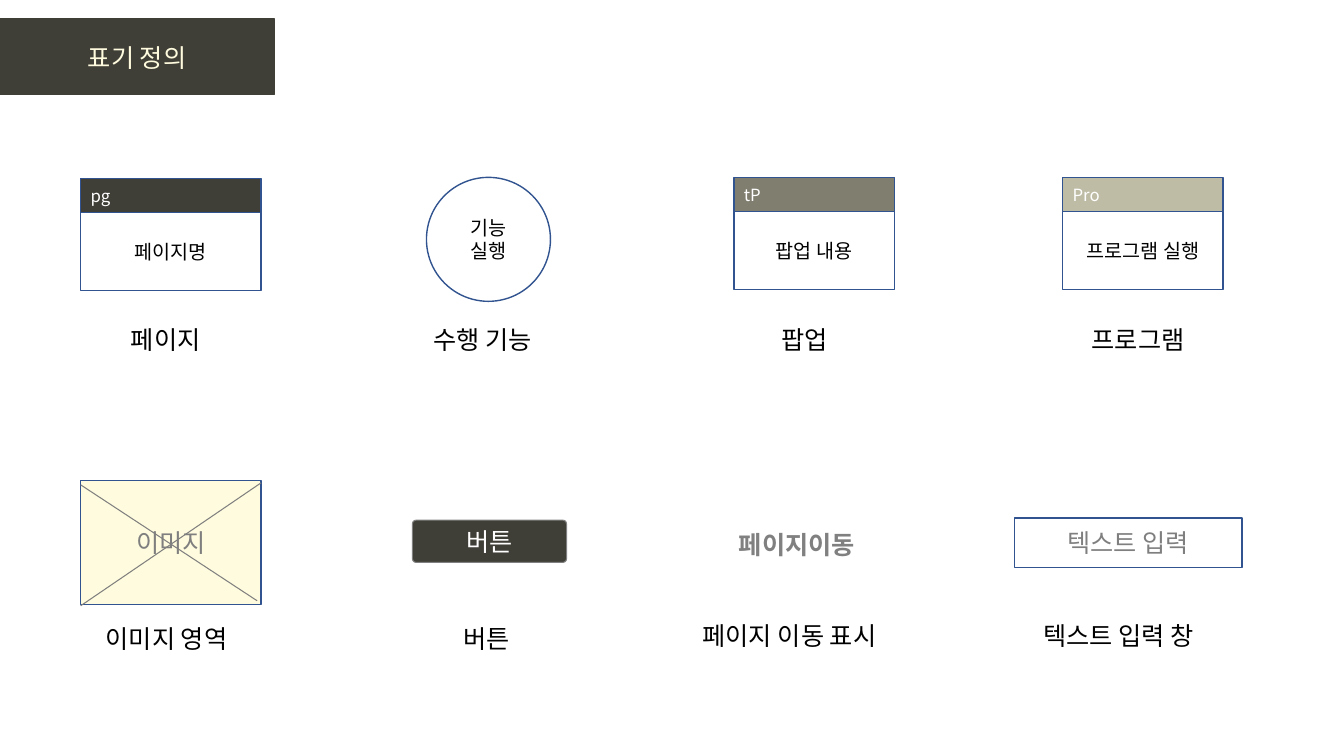
import pptx
import pptx.util
from lxml import etree
from pptx.dml.color import RGBColor
from pptx.enum.shapes import MSO_CONNECTOR, MSO_SHAPE
from pptx.enum.text import MSO_ANCHOR, PP_ALIGN
from pptx.oxml.ns import qn

PX = 9144  # EMU per px, 100 px to the inch
FONT = "Noto Sans CJK KR"
BUTTON_FONT = "Roboto"

WHITE = RGBColor(0xFF, 0xFF, 0xFF)
BLACK = RGBColor(0x00, 0x00, 0x00)
DARK = RGBColor(0x40, 0x3F, 0x37)
OLIVE = RGBColor(0x80, 0x7E, 0x6F)
SAND = RGBColor(0xBF, 0xBC, 0xA6)
CREAM = RGBColor(0xFF, 0xFB, 0xDE)
BLUE = RGBColor(0x31, 0x53, 0x8F)
GRAY = RGBColor(0x7F, 0x7F, 0x7F)
LINK_GRAY = RGBColor(0x80, 0x80, 0x80)


def px(*lengths):
    return [pptx.util.Emu(length * PX) for length in lengths]


def write(shape, text, size, color, align=PP_ALIGN.LEFT, font=FONT, bold=False):
    """Fill a shape with text, one paragraph per line."""
    shape.text_frame.text = text
    for paragraph in shape.text_frame.paragraphs:
        paragraph.alignment = align
        paragraph.font.size = pptx.util.Pt(size)
        paragraph.font.bold = bold
        paragraph.font.color.rgb = color
        paragraph.font.name = font
        properties = paragraph._p.pPr.find(qn("a:defRPr"))
        etree.SubElement(properties, qn("a:ea")).set("typeface", font)


def paint(shape, fill, line, width=1):
    if fill is None:
        shape.fill.background()
    else:
        shape.fill.solid()
        shape.fill.fore_color.rgb = fill
    shape.line.color.rgb = line
    shape.line.width = pptx.util.Pt(width)


def add_title(slide, text):
    title = slide.shapes.title
    title.left, title.top, title.width, title.height = px(0, 19, 272, 75)
    paint(title, DARK, DARK)
    title.text_frame.vertical_anchor = MSO_ANCHOR.MIDDLE
    write(title, text, 18, CREAM, PP_ALIGN.CENTER)


def add_box(slide, box, text, size, color, fill=None, kind=MSO_SHAPE.RECTANGLE,
            line=BLUE, width=1, align=PP_ALIGN.CENTER, font=FONT):
    shape = slide.shapes.add_shape(kind, *px(*box))
    shape.shadow.inherit = False
    paint(shape, fill, line, width)
    shape.text_frame.vertical_anchor = MSO_ANCHOR.MIDDLE
    write(shape, text, size, color, align, font)
    return shape


def add_card(slide, left, top, width, tag, tag_fill, text):
    """A white box under a coloured tag bar."""
    add_box(slide, (left, top + 34, width, 77), text, 14, BLACK, WHITE)
    add_box(slide, (left, top, width, 34), tag, 12, WHITE, tag_fill,
            align=PP_ALIGN.LEFT)


def add_label(slide, left, top, width, text, color=BLACK, bold=False,
              align=PP_ALIGN.LEFT, wrap=True):
    label = slide.shapes.add_textbox(*px(left, top, width, 40))
    label.text_frame.word_wrap = wrap
    write(label, text, 18, color, align, bold=bold)


def add_line(slide, *ends):
    line = slide.shapes.add_connector(MSO_CONNECTOR.STRAIGHT, *px(*ends))
    line.line.color.rgb = GRAY
    line.line.width = pptx.util.Pt(0.75)
    etree.SubElement(line._element.spPr, qn("a:effectLst"))


def main():
    presentation = pptx.Presentation()
    presentation.slide_width, presentation.slide_height = px(1333, 750)
    slide = presentation.slides.add_slide(presentation.slide_layouts[5])
    add_title(slide, "표기 정의")

    # Upper row: page, function, popup, program
    add_card(slide, 80, 177, 179, "pg", DARK, "페이지명")
    add_box(slide, (423, 176, 123, 123), "기능\n실행", 14, BLACK,
            kind=MSO_SHAPE.OVAL)
    add_card(slide, 728, 176, 159, "tP", OLIVE, "팝업 내용")
    add_card(slide, 1054, 176, 159, "Pro", SAND, "프로그램 실행")
    for left, width, text in ((120, 100, "페이지"), (420, 153, "수행 기능"),
                              (765, 100, "팝업"), (1073, 132, "프로그램")):
        add_label(slide, left, 317, width, text)

    # Image area with crossed diagonals
    add_box(slide, (80, 477, 179, 123), "이미지", 18, GRAY, CREAM)
    add_line(slide, 80, 481, 255, 596)
    add_line(slide, 80, 601, 259, 479)
    add_label(slide, 95, 613, 157, "이미지 영역")

    # Button
    button = add_box(slide, (409, 516, 153, 42), "버튼", 18, WHITE, DARK,
                     MSO_SHAPE.ROUNDED_RECTANGLE, LINK_GRAY, 0.75,
                     font=BUTTON_FONT)
    button.adjustments[0] = 0.09
    add_label(slide, 404, 613, 157, "버튼", align=PP_ALIGN.CENTER)

    # Page link
    add_label(slide, 723, 520, 146, "페이지이동", LINK_GRAY, bold=True, wrap=False)
    add_label(slide, 687, 610, 218, "페이지 이동 표시")

    # Text input
    add_box(slide, (1006, 514, 226, 49), "텍스트 입력", 18, GRAY)
    add_label(slide, 1025, 610, 218, "텍스트 입력 창")

    presentation.save("out.pptx")


if __name__ == "__main__":
    main()
